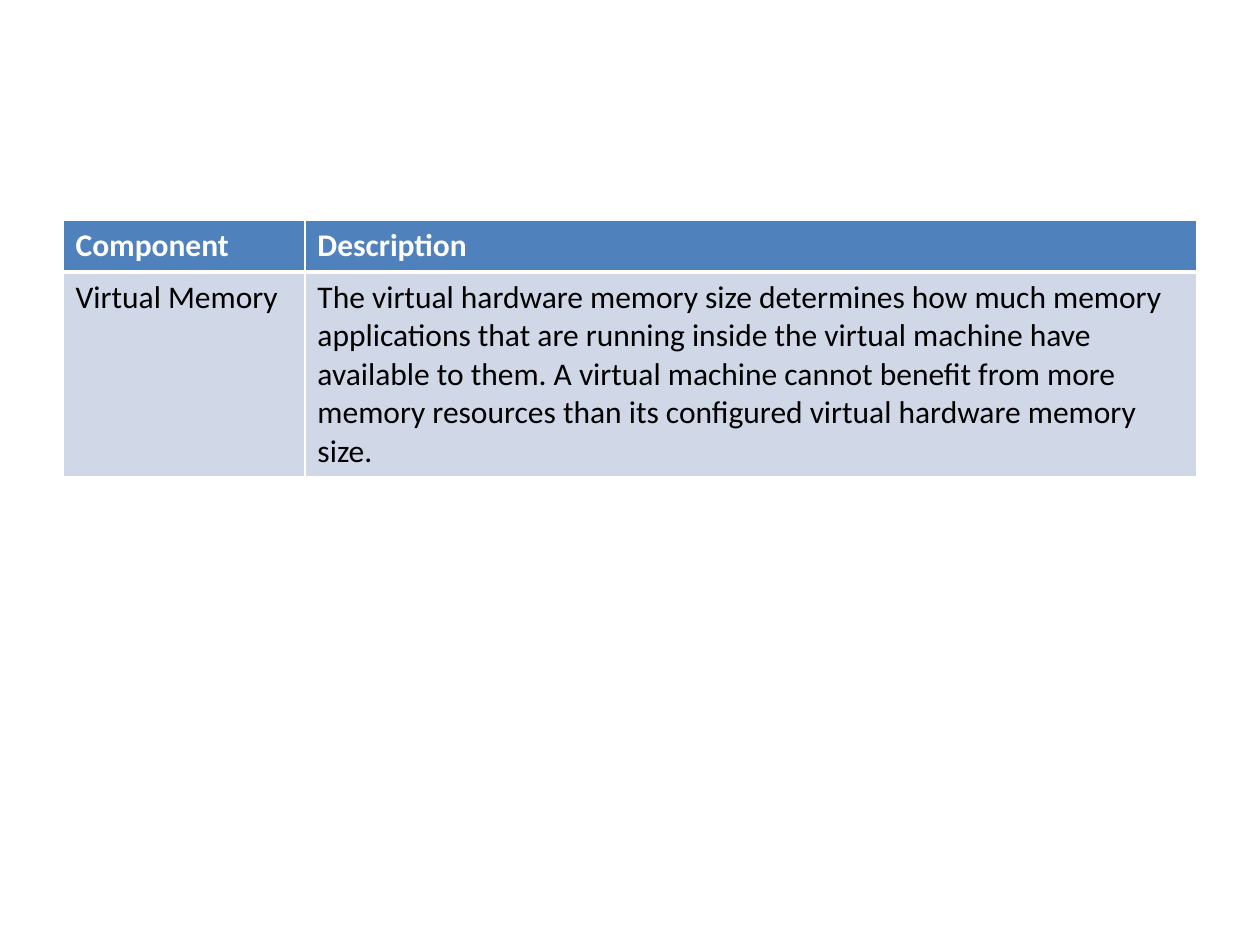
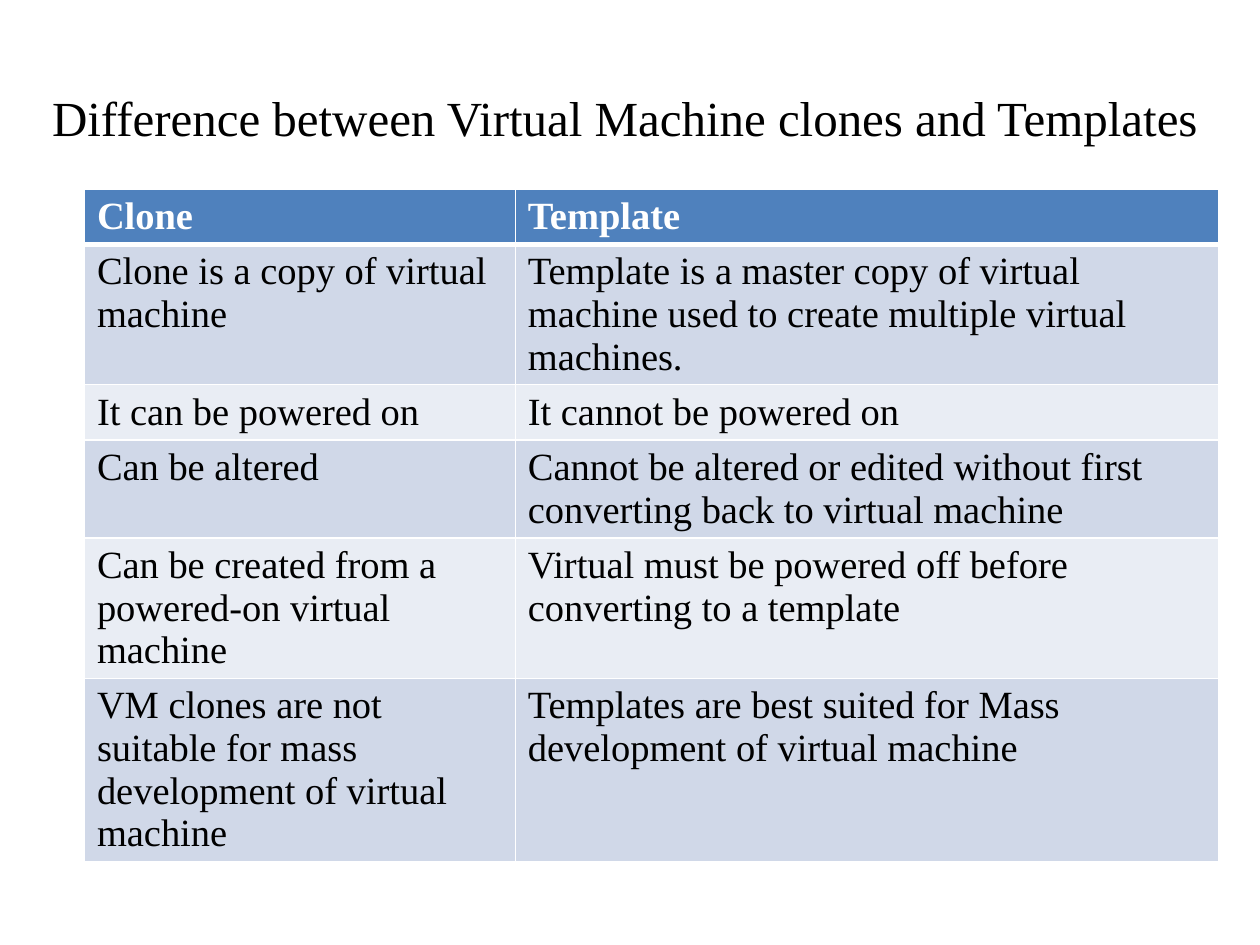
from dataclasses import dataclass

from lxml.etree import SubElement
from pptx import Presentation
from pptx.dml.color import RGBColor
from pptx.enum.text import MSO_ANCHOR, MSO_AUTO_SIZE, PP_ALIGN
from pptx.oxml.ns import qn
from pptx.util import Inches, Pt


@dataclass(frozen=True)
class Theme:
    header: str = "4F81BD"
    bands: tuple = ("D0D8E8", "E9EDF4")
    light: str = "FFFFFF"
    dark: str = "000000"
    sans: str = "Calibri"
    serif: str = "Times New Roman"
    title_size: int = 28
    component_size: int = 18
    comparison_size: int = 22
    thin: int = 1
    thick: int = 3


theme = Theme()


def write(frame, text, font, size, color, bold=False):
    span = frame.paragraphs[0].add_run()
    span.text = text
    span.font.name = font
    span.font.size = Pt(size)
    span.font.bold = bold
    span.font.color.rgb = RGBColor.from_string(color)


def add_banded_table(page, left, top, widths, rows, font, size):
    row_height = Inches(0.41)
    frame = page.shapes.add_table(
        len(rows), len(widths), Inches(left), Inches(top),
        Inches(sum(widths)), row_height * len(rows))
    table = frame.table
    for column, width in zip(table.columns, widths):
        column.width = Inches(width)
    for row_index, texts in enumerate(rows):
        table.rows[row_index].height = row_height
        is_header = row_index == 0
        fill = theme.header if is_header else theme.bands[(row_index - 1) % 2]
        color = theme.light if is_header else theme.dark
        for column_index, text in enumerate(texts):
            cell = table.cell(row_index, column_index)
            write(cell.text_frame, text, font, size, color, is_header)
            properties = cell._tc.get_or_add_tcPr()
            for side in ("L", "R", "T", "B"):
                meets_header = (is_header and side == "B") or (row_index == 1 and side == "T")
                weight = theme.thick if meets_header else theme.thin
                line = SubElement(properties, qn(f"a:ln{side}"), w=str(Pt(weight)))
                solid = SubElement(line, qn("a:solidFill"))
                SubElement(solid, qn("a:srgbClr"), val=theme.light)
            cell.fill.solid()
            cell.fill.fore_color.rgb = RGBColor.from_string(fill)


deck = Presentation()
deck.slide_width = Inches(10)
deck.slide_height = Inches(7.5)
title_only, blank = deck.slide_layouts[5], deck.slide_layouts[6]

component_rows = [
    ("Component", "Description"),
    ("Virtual Memory",
     "The virtual hardware memory size determines how much memory applications "
     "that are running inside the virtual machine have available to them. "
     "A virtual machine cannot benefit from more memory resources than its "
     "configured virtual hardware memory size."),
]
page = deck.slides.add_slide(blank)
add_banded_table(page, 0.5, 1.75, (1.92, 7.08), component_rows,
                 theme.sans, theme.component_size)

comparison_rows = [
    ("Clone", "Template"),
    ("Clone is a copy of virtual machine",
     "Template is a master copy of virtual machine used to create multiple virtual machines."),
    ("It can be powered on", "It cannot be powered on"),
    ("Can be altered",
     "Cannot be altered or edited without first converting back to virtual machine"),
    ("Can be created from a powered-on virtual machine",
     "Virtual must be powered off before converting to a template"),
    ("VM clones are not suitable for mass development of virtual machine",
     "Templates are best suited for Mass development of virtual machine"),
]
page = deck.slides.add_slide(title_only)
title = page.shapes.title
title.left, title.top = Inches(0.25), Inches(0.3)
title.width, title.height = Inches(9.42), Inches(1.25)
title.text_frame.auto_size = MSO_AUTO_SIZE.NONE
title.text_frame.vertical_anchor = MSO_ANCHOR.MIDDLE
title.text_frame.paragraphs[0].alignment = PP_ALIGN.CENTER
write(title.text_frame, "Difference between Virtual Machine clones and Templates",
      theme.serif, theme.title_size, theme.dark)
add_banded_table(page, 0.67, 1.5, (3.42, 5.58), comparison_rows,
                 theme.serif, theme.comparison_size)

deck.save("out.pptx")
